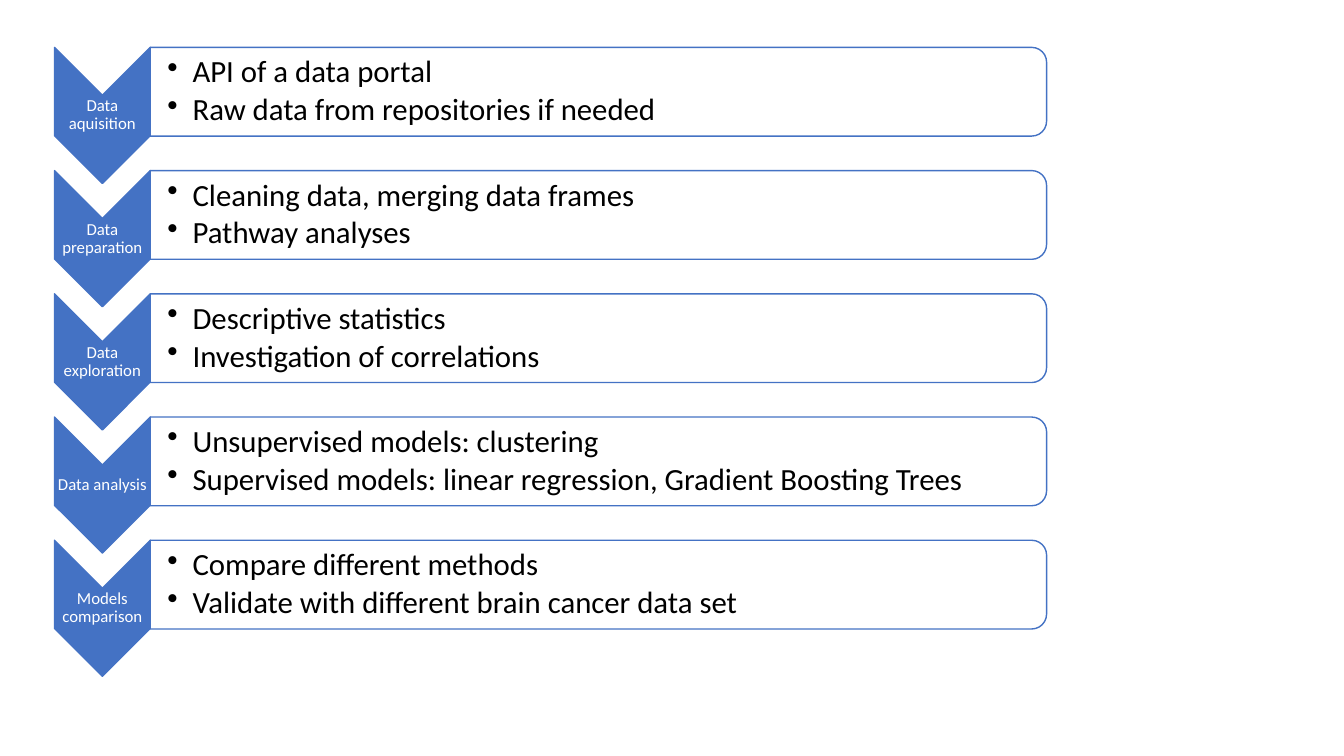
import pptx
import pptx.util
import pptx.dml.color
import pptx.enum.shapes
import pptx.enum.text
import lxml.etree

STEPS = [
    ("Data aquisition",
     ["API of a data portal", "Raw data from repositories if needed"]),
    ("Data preparation",
     ["Cleaning data, merging data frames", "Pathway analyses"]),
    ("Data exploration",
     ["Descriptive statistics", "Investigation of correlations"]),
    ("Data analysis",
     ["Unsupervised models: clustering",
      "Supervised models: linear regression, Gradient Boosting Trees"]),
    ("Models comparison",
     ["Compare different methods",
      "Validate with different brain cancer data set"]),
]
HEX = {"blue": "4472C4", "white": "FFFFFF", "black": "000000"}
FONT = "Calibri"

WIDE, HIGH = 13.33, 7.5
LEFT, TOP = 0.54, 0.47
PITCH = 4.89 / (len(STEPS) - 1)
ARROW_W, ARROW_H = 0.95, 1.35
PANEL_W, PANEL_H = 8.89, 0.88
LABEL_H, LIST_W, LIST_H = 0.41, 8.85, 0.79

Inches, Pt = pptx.util.Inches, pptx.util.Pt
KIND = pptx.enum.shapes.MSO_SHAPE
ALIGN = pptx.enum.text.PP_ALIGN


def color(name):
    return pptx.dml.color.RGBColor.from_string(HEX[name])


def turned(slide, kind, x, y, w, h, fill):
    """Add a shape turned by 90 degrees that covers the box x, y, w, h."""
    shape = slide.shapes.add_shape(
        kind, Inches(x + (w - h) / 2), Inches(y + (h - w) / 2),
        Inches(h), Inches(w))
    shape.rotation = 90
    shape.shadow.inherit = False
    shape.fill.solid()
    shape.fill.fore_color.rgb = color(fill)
    shape.line.color.rgb = color("blue")
    shape.line.width = Pt(1)
    return shape


def fade(shape, share):
    """Make the fill of a shape partly transparent."""
    tone = shape.fill._xPr.find(".//" + pptx.oxml.ns.qn("a:srgbClr"))
    alpha = lxml.etree.SubElement(tone, pptx.oxml.ns.qn("a:alpha"))
    alpha.set("val", str(int(share * 100000)))


def bullet(para):
    props = para._p.get_or_add_pPr()
    props.set("marL", str(Inches(0.25)))
    props.set("indent", str(Inches(-0.25)))
    mark = lxml.etree.SubElement(props, pptx.oxml.ns.qn("a:buChar"))
    mark.set("char", "•")


def write(slide, box, lines, size, tone, after, pad, inset, listed=False):
    frame = slide.shapes.add_textbox(*map(Inches, box)).text_frame
    frame.word_wrap = True
    frame.vertical_anchor = pptx.enum.text.MSO_ANCHOR.MIDDLE
    frame.margin_left = Inches(inset)
    frame.margin_right = frame.margin_top = frame.margin_bottom = Inches(pad)
    frame.text = "\n".join(lines)
    for para in frame.paragraphs:
        para.alignment = ALIGN.LEFT if listed else ALIGN.CENTER
        para.line_spacing = 0.9
        para.space_after = Pt(size * after)
        para.font.size = Pt(size)
        para.font.name = FONT
        para.font.color.rgb = color(tone)
        if listed:
            bullet(para)


def main():
    deck = pptx.Presentation()
    deck.slide_width, deck.slide_height = Inches(WIDE), Inches(HIGH)
    slide = deck.slides.add_slide(deck.slide_layouts[6])
    right = LEFT + ARROW_W
    for row, (label, points) in enumerate(STEPS):
        y = TOP + row * PITCH
        turned(slide, KIND.CHEVRON, LEFT, y, ARROW_W, ARROW_H, "blue")
        write(slide, (LEFT, y + (ARROW_H - LABEL_H) / 2, ARROW_W, LABEL_H),
              [label], 12, "white", 0.35, 0.01, 0.01)
        panel = turned(slide, KIND.ROUND_2_SAME_RECTANGLE,
                       right, y, PANEL_W, PANEL_H, "white")
        fade(panel, 0.9)
        write(slide, (right, y + (PANEL_H - LIST_H) / 2, LIST_W, LIST_H),
              points, 22, "black", 0.15, 0.02, 0.17, listed=True)
    deck.save("out.pptx")


if __name__ == "__main__":
    main()
